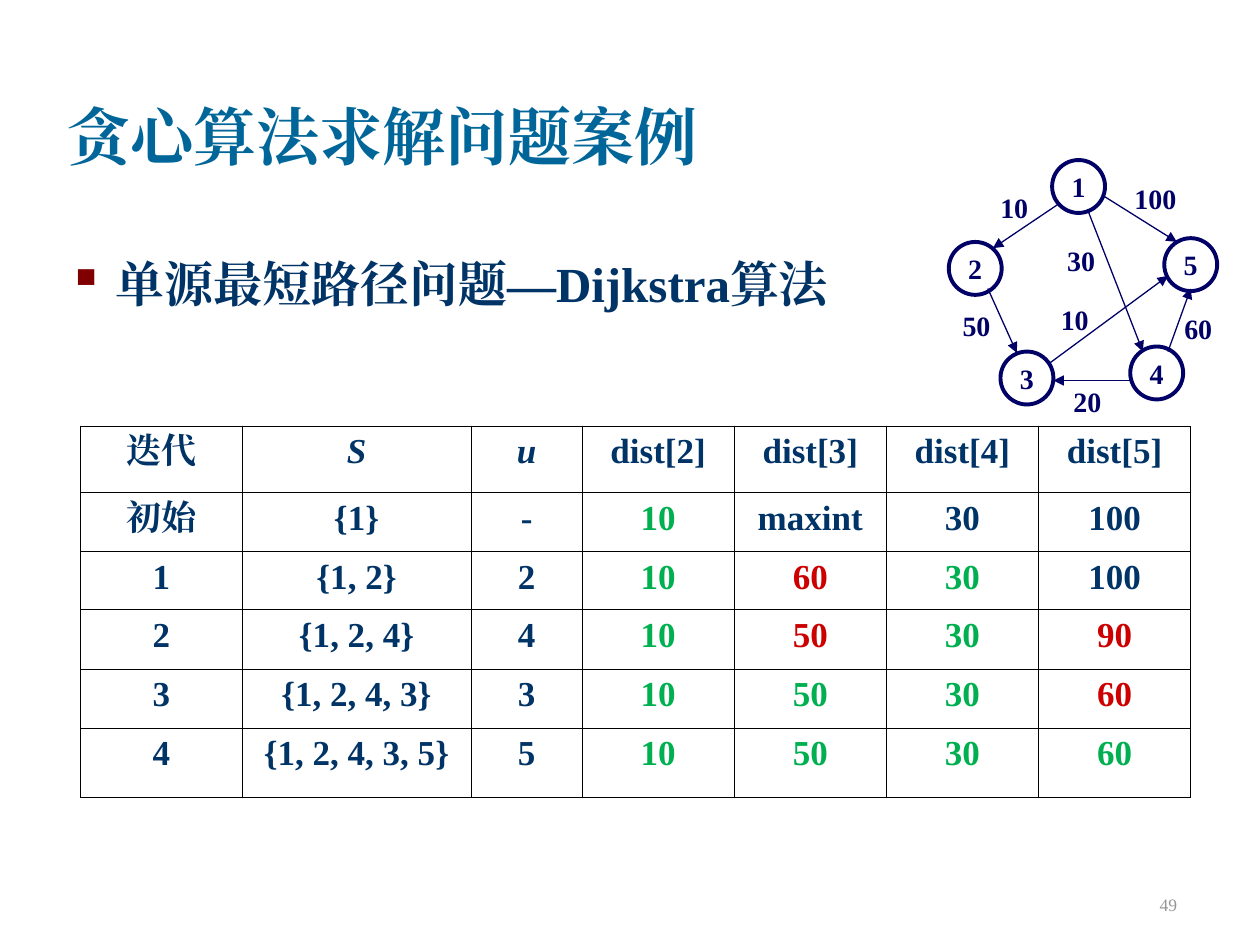
from pptx import Presentation
from pptx import util as u
from pptx.dml.color import RGBColor
from pptx.enum import shapes, text
from pptx.oxml import parse_xml
from pptx.oxml.ns import nsdecls, qn

FONT = "Times New Roman"
TEAL = RGBColor(0x00, 0x66, 0x99)
INK = RGBColor(0x00, 0x33, 0x66)
NAVY = RGBColor(0x00, 0x00, 0x66)
GREEN = RGBColor(0x00, 0xB0, 0x50)
RED = RGBColor(0xCC, 0x00, 0x00)
GREY = RGBColor(0x96, 0x96, 0x96)
MARKS = {"n": INK, "g": GREEN, "r": RED}
LEFT, CENTER, RIGHT = text.PP_ALIGN.LEFT, text.PP_ALIGN.CENTER, text.PP_ALIGN.RIGHT

NODES = {"1": (0.82, 0), "2": (0, 0.65), "3": (0.41, 1.52), "4": (1.44, 1.48), "5": (1.71, 0.62)}
EDGES = [
    ((0.87, 0.35), (0.35, 0.7)),
    ((0.31, 1.02), (0.54, 1.53)),
    ((1.44, 1.75), (0.83, 1.75)),
    ((1.74, 1.52), (1.92, 1.02)),
    ((1.22, 0.28), (1.81, 0.65)),
    ((0.79, 1.62), (1.74, 0.92)),
    ((1.1, 0.39), (1.54, 1.52)),
]
WEIGHTS = [
    ("10", 0.37, 0.24, 0.3),
    ("50", 0.07, 1.18, 0.3),
    ("20", 0.95, 1.78, 0.3),
    ("60", 1.83, 1.2, 0.3),
    ("100", 1.45, 0.17, 0.38),
    ("30", 0.9, 0.66, 0.3),
    ("10", 0.85, 1.13, 0.3),
]
ROWS = [
    (["迭代", "S", "u", "dist[2]", "dist[3]", "dist[4]", "dist[5]"], "nnnnnnn"),
    (["初始", "{1}", "-", "10", "maxint", "30", "100"], "nnngnnn"),
    (["1", "{1, 2}", "2", "10", "60", "30", "100"], "nnngrgn"),
    (["2", "{1, 2, 4}", "4", "10", "50", "30", "90"], "nnngrgr"),
    (["3", "{1, 2, 4, 3}", "3", "10", "50", "30", "60"], "nnngggr"),
    (["4", "{1, 2, 4, 3, 5}", "5", "10", "50", "30", "60"], "nnngggg"),
]
ROW_HEIGHTS = [0.53, 0.47, 0.46, 0.47, 0.47, 0.55]
LEAD_WIDTHS = [1.28, 1.82, 0.88]


def write(frame, words, size, color, align=LEFT, bold=True, italic=False):
    """Set one styled line of text in a frame and return its paragraph."""
    frame.text = words
    para = frame.paragraphs[0]
    para.alignment = align
    for span in para.runs:
        font = span.font
        font.name, font.size = FONT, u.Pt(size)
        font.bold, font.italic = bold, italic
        font.color.rgb = color
        font._element.find(qn("a:latin")).addnext(
            parse_xml(f'<a:ea {nsdecls("a")} typeface="{FONT}"/>'))
    return para


def add_text(parent, left, top, width, height, anchor=text.MSO_ANCHOR.TOP, inset=True):
    """Add a wrapping text box and return its frame."""
    box = parent.shapes.add_textbox(*map(u.Inches, (left, top, width, height)))
    frame = box.text_frame
    frame.word_wrap = True
    frame.vertical_anchor = anchor
    if not inset:
        clear_margins(frame)
    return frame


def clear_margins(frame):
    """Remove the inner margins of a frame."""
    frame.margin_left = frame.margin_right = frame.margin_top = frame.margin_bottom = 0


def add_title(page, left, top, width, height):
    """Place the slide title at the bottom of its box."""
    frame = add_text(page, left, top, width, height, text.MSO_ANCHOR.BOTTOM)
    write(frame, "贪心算法求解问题案例", 36, TEAL)


def add_topic(page, left, top, width, height):
    """Place the bulleted topic line."""
    frame = add_text(page, left, top, width, height)
    para = write(frame, "单源最短路径问题—Dijkstra算法", 28, INK)
    props = para._p.get_or_add_pPr()
    props.set("marL", str(u.Inches(0.38)))
    props.set("indent", str(-u.Inches(0.38)))
    for part in ('<a:buClr {}><a:srgbClr val="800000"/></a:buClr>', '<a:buChar {} char="▪"/>'):
        props.append(parse_xml(part.format(nsdecls("a"))))


def add_page_number(page, left, top, width, height):
    """Place the slide number."""
    frame = add_text(page, left, top, width, height, text.MSO_ANCHOR.BOTTOM)
    write(frame, "49", 10, GREY, RIGHT, bold=False)


def add_graph(page, left, top):
    """Draw the weighted directed graph as one group."""
    group = page.shapes.add_group_shape()
    for name, (x, y) in NODES.items():
        node = group.shapes.add_shape(
            shapes.MSO_SHAPE.OVAL, *map(u.Inches, (left + x, top + y, 0.42, 0.42)))
        node.shadow.inherit = False
        node.fill.background()
        node.line.color.rgb, node.line.width = NAVY, u.Pt(2.25)
        clear_margins(node.text_frame)
        node.text_frame.vertical_anchor = text.MSO_ANCHOR.MIDDLE
        write(node.text_frame, name, 16, NAVY, CENTER)
    for (x1, y1), (x2, y2) in EDGES:
        ends = map(u.Inches, (left + x1, top + y1, left + x2, top + y2))
        edge = group.shapes.add_connector(shapes.MSO_CONNECTOR.STRAIGHT, *ends)
        edge.line.color.rgb, edge.line.width = NAVY, u.Pt(0.75)
        edge.line._get_or_add_ln().append(
            parse_xml(f'<a:tailEnd {nsdecls("a")} type="triangle"/>'))
        edge._element.spPr.append(parse_xml(f'<a:effectLst {nsdecls("a")}/>'))
    for weight, x, y, width in WEIGHTS:
        frame = add_text(group, left + x, top + y, width, 0.27, inset=False)
        write(frame, weight, 16, NAVY, CENTER)


def add_borders(cell):
    """Give a cell thin black borders on all sides."""
    props = cell._tc.get_or_add_tcPr()
    for side in ("lnL", "lnR", "lnT", "lnB"):
        props.append(parse_xml(
            f'<a:{side} {nsdecls("a")} w="{u.Pt(0.45)}"><a:solidFill>'
            f'<a:srgbClr val="000000"/></a:solidFill></a:{side}>'))


def add_distances(page, left, top, width, height):
    """Build the table of distances by iteration."""
    table = page.shapes.add_table(
        len(ROWS), len(ROWS[0][0]), *map(u.Inches, (left, top, width, height))).table
    table.first_row = table.horz_banding = False
    dist_width = (width - sum(LEAD_WIDTHS)) / 4
    for column, size in zip(table.columns, LEAD_WIDTHS + [dist_width] * 4):
        column.width = u.Inches(size)
    for row, size in zip(table.rows, ROW_HEIGHTS):
        row.height = u.Inches(size)
    for row, (values, marks) in zip(table.rows, ROWS):
        for cell, value, mark in zip(row.cells, values, marks):
            add_borders(cell)
            cell.fill.background()
            write(cell.text_frame, value, 20, MARKS[mark], CENTER, italic=value in ("S", "u"))


def main():
    """Build and save the deck."""
    deck = Presentation()
    deck.slide_width, deck.slide_height = u.Inches(10), u.Inches(7.5)
    page = deck.slides.add_slide(deck.slide_layouts[6])
    add_title(page, 0.44, 0.17, 8.5, 1.25)
    add_topic(page, 0.44, 1.96, 8.94, 4.87)
    add_page_number(page, 7.36, 6.81, 2.08, 0.5)
    add_graph(page, 7.53, 1.27)
    add_distances(page, 0.64, 3.38, 8.81, 2.95)
    deck.save("out.pptx")


if __name__ == "__main__":
    main()
